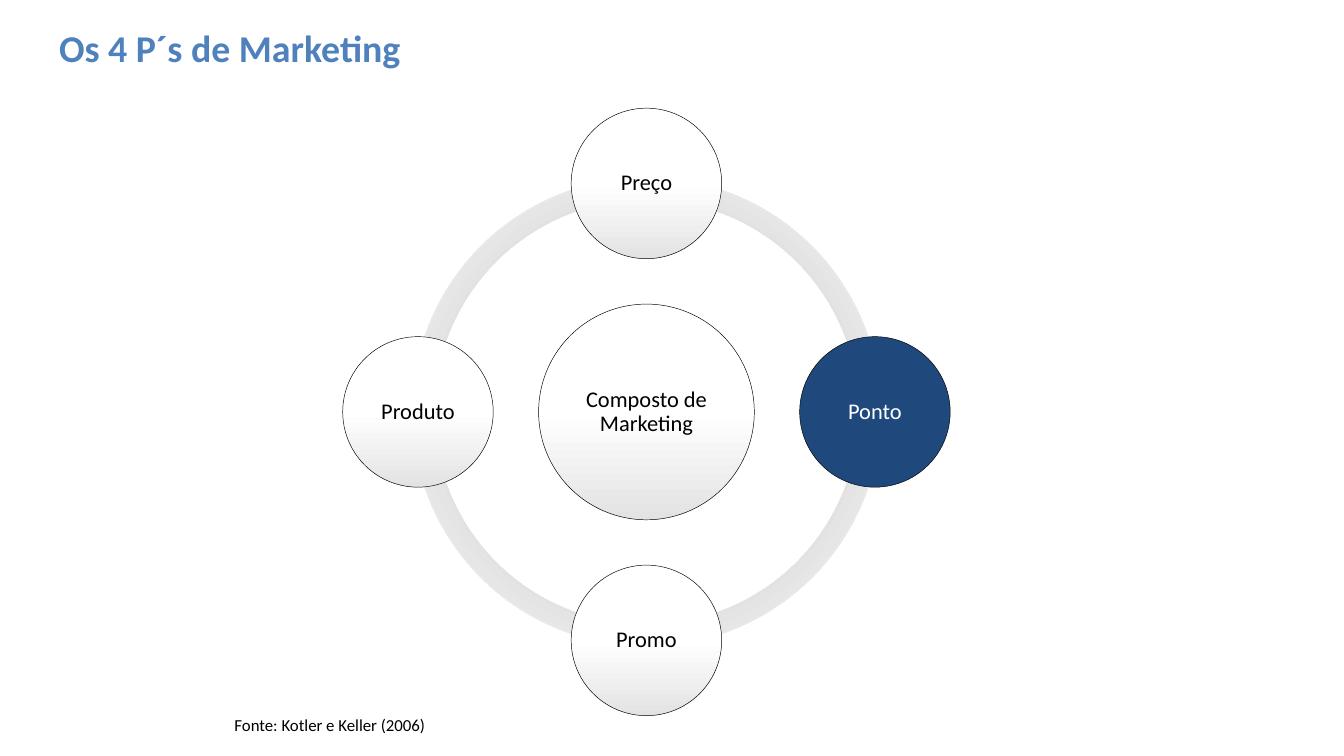
"""Build the marketing mix slide: four circles on a ring around a hub."""
from pptx import Presentation
from pptx.dml.color import RGBColor
from pptx.enum.shapes import MSO_SHAPE
from pptx.enum.text import MSO_ANCHOR, PP_ALIGN
from pptx.oxml import parse_xml
from pptx.oxml.ns import nsdecls
from pptx.util import Inches, Pt

ARC, OVAL = MSO_SHAPE.BLOCK_ARC, MSO_SHAPE.OVAL
MIDDLE, TOP, CENTER = MSO_ANCHOR.MIDDLE, MSO_ANCHOR.TOP, PP_ALIGN.CENTER

BLACK = RGBColor(0x00, 0x00, 0x00)
WHITE = RGBColor(0xFF, 0xFF, 0xFF)
BLUE = RGBColor(0x4F, 0x81, 0xBD)
NAVY = RGBColor(0x1F, 0x49, 0x7D)
PALE = RGBColor(0xE3, 0xE3, 0xE3)
SILVER = RGBColor(0xD7, 0xD7, 0xD7)
GRAY = RGBColor(0x97, 0x97, 0x97)

TITLE = "Os 4 P´s de Marketing"
SOURCE = "Fonte: Kotler e Keller (2006)"
HUB = "Composto de Marketing"
SATELLITES = [
    ("Preço", 0, -1, None),
    ("Ponto", 1, 0, NAVY),
    ("Promo", 0, 1, None),
    ("Produto", -1, 0, None),
]

CENTER_X, CENTER_Y = 9.62, 6.13
ORBIT = 3.4
RING_SIZE, HUB_SIZE, SATELLITE_SIZE = 6.97, 3.21, 2.24
RING_WIDTH = 0.046
ARC_ANGLES = [(108, 162), (54, 108), (0, 54), (162, 0)]

RING_SHADE = ((GRAY, SILVER, WHITE),
              '<a:path path="circle"><a:fillToRect l="50000" t="50000" r="50000" b="50000"/></a:path>')
DISC_SHADE = ((WHITE, WHITE, PALE), '<a:lin ang="5400000" scaled="0"/>')


def set_all(target, values):
    for name, value in values.items():
        setattr(target, name, value)


def write(frame, text, size, color, bold=False, **paragraph_format):
    para = frame.paragraphs[0]
    set_all(para, paragraph_format)
    span = para.add_run()
    span.text = text
    set_all(span.font, {"name": "Calibri", "size": Pt(size), "bold": bold})
    span.font.color.rgb = color


def add_text(page, text, area, size, color, wrap, anchor, bold=False):
    box = page.shapes.add_textbox(*map(Inches, area))
    set_all(box.text_frame, {"word_wrap": wrap, "vertical_anchor": anchor})
    write(box.text_frame, text, size, color, bold)


def shade(shape, colors, direction):
    stops = "".join(
        f'<a:gs pos="{i * 50000}"><a:srgbClr val="{color}"/></a:gs>'
        for i, color in enumerate(colors))
    gradient = parse_xml(
        f'<a:gradFill {nsdecls("a")} rotWithShape="1"><a:gsLst>{stops}</a:gsLst>{direction}</a:gradFill>')
    shape.fill.background()
    old_fill = shape.element.spPr.find(
        "{http://schemas.openxmlformats.org/drawingml/2006/main}noFill")
    shape.element.spPr.replace(old_fill, gradient)


def add_round(page, kind, x, y, size):
    shape = page.shapes.add_shape(
        kind, Inches(x - size / 2), Inches(y - size / 2), Inches(size), Inches(size))
    shape.shadow.inherit = False
    return shape


def add_arc(page, start, end):
    arc = add_round(page, ARC, CENTER_X, CENTER_Y, RING_SIZE)
    for i, value in enumerate((start, end, RING_WIDTH)):
        arc.adjustments[i] = value
    shade(arc, *RING_SHADE)
    arc.line.fill.background()


def add_disc(page, text, x, y, size, color=None):
    disc = add_round(page, OVAL, x, y, size)
    if color is None:
        shade(disc, *DISC_SHADE)
    else:
        disc.fill.solid()
        disc.fill.fore_color.rgb = color
    disc.line.color.rgb = BLACK
    disc.line.width = Pt(0.5)
    inset = Inches(0.03)
    set_all(disc.text_frame, {
        "word_wrap": True, "vertical_anchor": MIDDLE,
        "margin_left": inset, "margin_right": inset,
        "margin_top": inset, "margin_bottom": inset})
    write(disc.text_frame, text, 24, WHITE if color else BLACK,
          alignment=CENTER, line_spacing=0.9, space_after=Pt(8.4))


def main():
    deck = Presentation()
    set_all(deck, {"slide_width": Inches(20), "slide_height": Inches(11.25)})
    page = deck.slides.add_slide(deck.slide_layouts[6])
    add_text(page, TITLE, (0.78, 0.35, 13.65, 0.71), 40.5, BLUE, True, MIDDLE, bold=True)
    add_text(page, SOURCE, (3.39, 10.59, 3.08, 0.4), 18, BLACK, False, TOP)
    for start, end in ARC_ANGLES:
        add_arc(page, start, end)
    add_disc(page, HUB, CENTER_X, CENTER_Y, HUB_SIZE)
    for text, across, down, color in SATELLITES:
        add_disc(page, text, CENTER_X + across * ORBIT, CENTER_Y + down * ORBIT,
                 SATELLITE_SIZE, color)
    deck.save("out.pptx")


if __name__ == "__main__":
    main()
